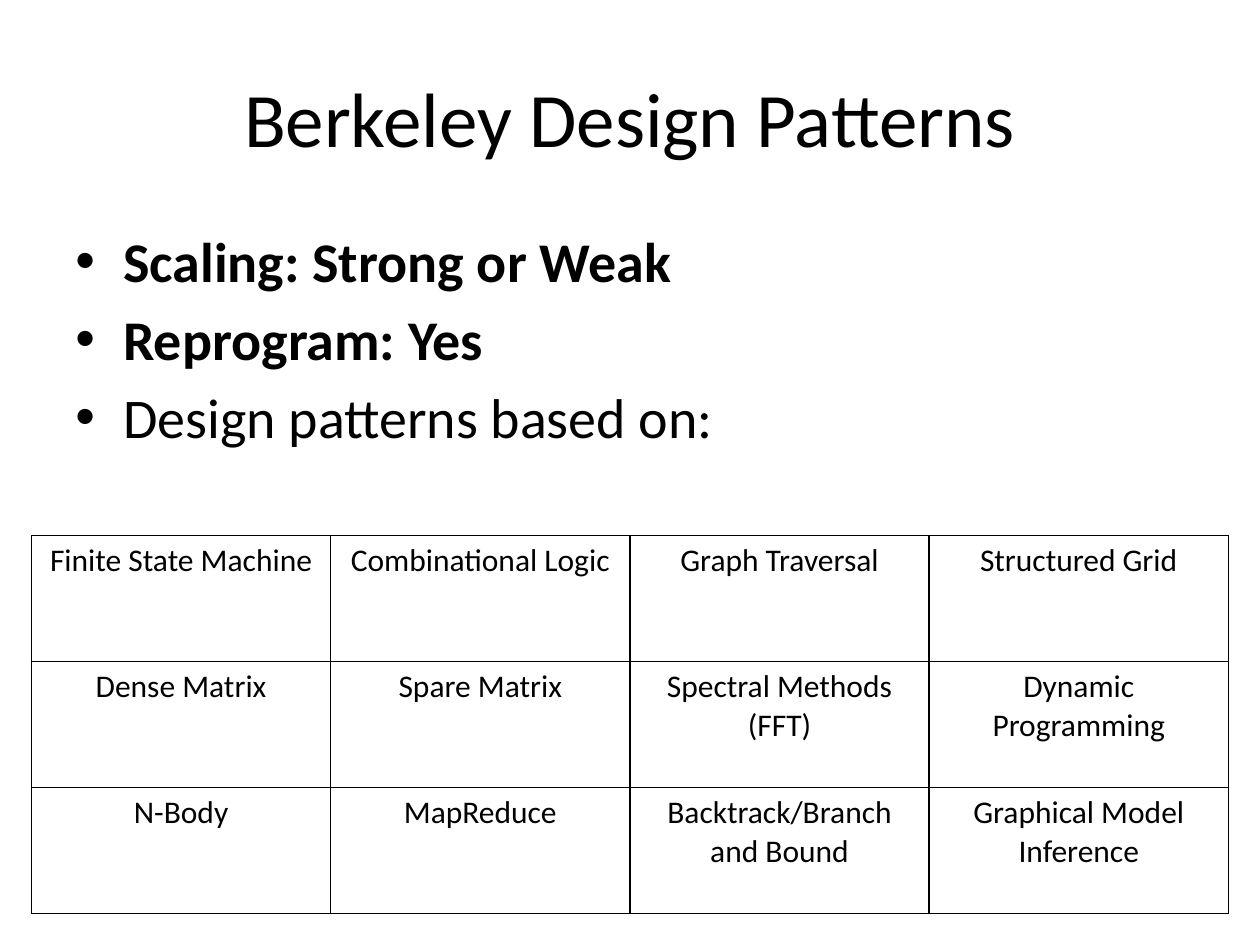
import dataclasses

import pptx
import pptx.dml.color
import pptx.enum.text
import pptx.oxml
import pptx.oxml.ns
import pptx.util
from pptx.util import Inches


@dataclasses.dataclass(frozen=True)
class Theme:
    """Colours, font and type sizes of the slide."""
    font: str = "Calibri"
    ink: str = "000000"
    paper: str = "FFFFFF"
    title_size: int = 44
    bullet_size: int = 32
    cell_size: int = 18
    bullet_gap: int = 6
    border_width: int = 1


THEME = Theme()
CENTER = pptx.enum.text.PP_ALIGN.CENTER
BULLETS = [
    ("Scaling: Strong or Weak", True),
    ("Reprogram: Yes", True),
    ("Design patterns based on:", False),
]
PATTERNS = [
    ["Finite State Machine", "Combinational Logic", "Graph Traversal", "Structured Grid"],
    ["Dense Matrix", "Spare Matrix", "Spectral Methods (FFT)", "Dynamic Programming"],
    ["N-Body", "MapReduce", "Backtrack/Branch and Bound", "Graphical Model Inference"],
]


def write_paragraph(paragraph, text, size, bold=False, alignment=None):
    """Fill a paragraph with text in the theme's font and ink."""
    paragraph.text = text
    paragraph.alignment = alignment
    paragraph.font.name = THEME.font
    paragraph.font.size = pptx.util.Pt(size)
    paragraph.font.bold = bold
    paragraph.font.color.rgb = pptx.dml.color.RGBColor.from_string(THEME.ink)


def add_bullet(paragraph, indent):
    """Give a paragraph a round bullet with a hanging indent."""
    properties = paragraph._p.get_or_add_pPr()
    properties.set("marL", str(indent))
    properties.set("indent", str(-indent))
    namespace = pptx.oxml.ns.nsdecls("a")
    for markup in (f'<a:buFont {namespace} typeface="Arial"/>', f'<a:buChar {namespace} char="•"/>'):
        properties.append(pptx.oxml.parse_xml(markup))


def add_borders(cell):
    """Draw a solid line on all four sides of a table cell."""
    properties = cell._tc.get_or_add_tcPr()
    width = pptx.util.Pt(THEME.border_width)
    for position, side in enumerate(("lnL", "lnR", "lnT", "lnB")):
        properties.insert(position, pptx.oxml.parse_xml(
            f'<a:{side} {pptx.oxml.ns.nsdecls("a")} w="{width}"><a:solidFill>'
            f'<a:srgbClr val="{THEME.ink}"/></a:solidFill></a:{side}>'))


def add_title(slide, left, top, width, height, text):
    """Place the centred slide title."""
    frame = slide.shapes.add_textbox(left, top, width, height).text_frame
    frame.word_wrap = True
    frame.vertical_anchor = pptx.enum.text.MSO_ANCHOR.MIDDLE
    write_paragraph(frame.paragraphs[0], text, THEME.title_size, alignment=CENTER)


def add_bullet_list(slide, left, top, width, height, bullets):
    """Place the bulleted list of text and weight pairs."""
    frame = slide.shapes.add_textbox(left, top, width, height).text_frame
    frame.word_wrap = True
    for index, (text, bold) in enumerate(bullets):
        paragraph = frame.add_paragraph() if index else frame.paragraphs[0]
        write_paragraph(paragraph, text, THEME.bullet_size, bold)
        paragraph.space_before = pptx.util.Pt(THEME.bullet_gap)
        add_bullet(paragraph, Inches(0.38))


def add_pattern_table(slide, left, top, width, height, rows):
    """Place the bordered grid of design patterns with equal cells."""
    table = slide.shapes.add_table(len(rows), len(rows[0]), left, top, width, height).table
    table.first_row = False
    table.horz_banding = False
    for row_index, row in enumerate(rows):
        for column_index, text in enumerate(row):
            cell = table.cell(row_index, column_index)
            cell.fill.solid()
            cell.fill.fore_color.rgb = pptx.dml.color.RGBColor.from_string(THEME.paper)
            write_paragraph(cell.text_frame.paragraphs[0], text, THEME.cell_size, alignment=CENTER)
            add_borders(cell)


def main():
    """Build the slide and save the presentation."""
    presentation = pptx.Presentation()
    presentation.slide_width = Inches(10)
    presentation.slide_height = Inches(7.5)
    slide = presentation.slides.add_slide(presentation.slide_layouts[6])
    add_title(slide, Inches(0.5), Inches(0.3), Inches(9), Inches(1.25), "Berkeley Design Patterns")
    add_bullet_list(slide, Inches(0.5), Inches(1.75), Inches(9), Inches(4.95), BULLETS)
    add_pattern_table(slide, Inches(0.25), Inches(4.25), Inches(9.5), Inches(3), PATTERNS)
    presentation.save("out.pptx")


if __name__ == "__main__":
    main()
